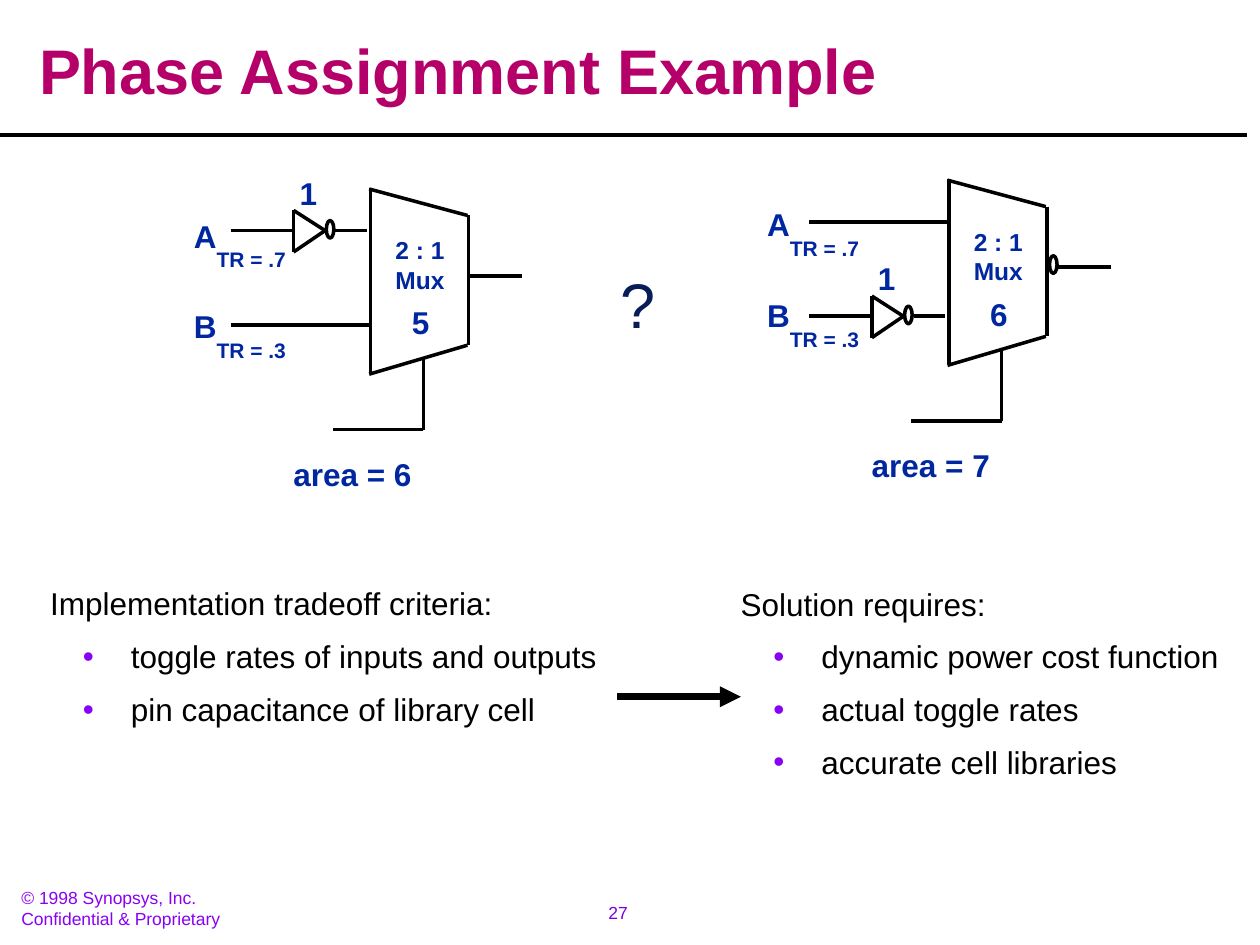
from pptx import Presentation
from pptx.dml.color import RGBColor
from pptx.enum import shapes as shape_types, text
from pptx.oxml.ns import qn
from pptx.util import Inches, Pt
from lxml import etree

BLACK, BLUE, NAVY = "000000", "00279F", "081D58"
MAGENTA, PURPLE, VIOLET = "B50069", "8901F3", "7B00E4"


def color(hex_value):
    return RGBColor.from_string(hex_value)


def style(paragraph, size, hex_value, bold=False):
    font = paragraph.font
    font.name, font.size, font.bold = "Arial", Pt(size), bold
    font.color.rgb = color(hex_value)


def add_text(shapes, content, left, top, width, height, size,
             hex_value=BLUE, bold=True, wrap=False):
    box = shapes.add_textbox(Inches(left), Inches(top), Inches(width), Inches(height))
    frame = box.text_frame
    frame.word_wrap = wrap
    frame.text = content
    for paragraph in frame.paragraphs:
        style(paragraph, size, hex_value, bold)
    return frame


def add_line(shapes, x1, y1, x2, y2, width=2):
    line = shapes.add_connector(shape_types.MSO_CONNECTOR.STRAIGHT,
                                Inches(x1), Inches(y1), Inches(x2), Inches(y2))
    line.line.color.rgb = color(BLACK)
    line.line.width = Pt(width)
    etree.SubElement(line._element.spPr, qn("a:effectLst"))
    return line


def add_bubble(shapes, left, center_y):
    """Draw the small inversion circle of a gate."""
    bubble = shapes.add_shape(shape_types.MSO_SHAPE.OVAL, Inches(left),
                              Inches(center_y - 0.08), Inches(0.06), Inches(0.14))
    bubble.shadow.inherit = False
    bubble.fill.background()
    bubble.line.color.rgb = color(BLACK)
    bubble.line.width = Pt(2)


def add_inverter(shapes, left, y):
    """Draw an input wire that runs through an inverter."""
    back, tip = left + 0.5, left + 0.75
    add_line(shapes, left, y, back, y)
    add_line(shapes, back, y - 0.16, back, y + 0.17)
    add_line(shapes, back, y - 0.16, tip, y)
    add_line(shapes, back, y + 0.17, tip, y)
    add_bubble(shapes, tip + 0.01, y)
    add_line(shapes, tip + 0.08, y, tip + 0.33, y)
    add_text(shapes, "1", left + 0.45, y - 0.5, 0.34, 0.4, 18)


def add_mux(shapes, left, top, cost, inverted_output):
    right = left + 0.78
    add_line(shapes, left, top, left, top + 1.47)
    add_line(shapes, right, top + 0.22, right, top + 1.25)
    add_line(shapes, left - 0.01, top + 0.01, right - 0.01, top + 0.22)
    add_line(shapes, left - 0.01, top + 1.48, right - 0.01, top + 1.25)
    add_text(shapes, "2 : 1\nMux", left + 0.1, top + 0.33, 0.59, 0.57, 14)
    add_text(shapes, cost, left + 0.23, top + 0.87, 0.34, 0.4, 18)
    output = right
    if inverted_output:
        add_bubble(shapes, right + 0.02, top + 0.69)
        output += 0.09
    add_line(shapes, output, top + 0.7, output + 0.42, top + 0.7)


def add_circuit(slide, left, top, inverted_input, cost, area, label_shift=0.0,
                inverted_output=False):
    """Draw a multiplexer, whose corner is at left and top, with its wiring."""
    shapes = slide.shapes.add_group_shape().shapes
    add_mux(shapes, left, top, cost, inverted_output)
    inputs = (("A", "TR = .7", 0.34), ("B", "TR = .3", 1.09))
    for index, (name, rate, wire) in enumerate(inputs):
        y = top + wire
        if name == inverted_input:
            add_inverter(shapes, left - 1.11, y)
        else:
            add_line(shapes, left - 1.11, y, left, y)
        label_top = top + 0.18 + 0.72 * index - label_shift / 2
        label_left = left - 1.5 - label_shift
        add_text(shapes, name, label_left, label_top, 0.38, 0.4, 18)
        add_text(shapes, rate, label_left + 0.18, label_top + 0.24, 0.75, 0.3, 12)
    add_line(shapes, left + 0.42, top + 1.35, left + 0.42, top + 1.92)
    add_line(shapes, left + 0.42, top + 1.92, left - 0.3, top + 1.92)
    add_text(shapes, area, left - 0.71, top + 2.07, 1.14, 0.4, 18)


def add_list(slide, left, top, width, height, heading, items):
    frame = add_text(slide.shapes, "\n".join([heading, *items]), left, top,
                     width, height, 18, BLACK, False, wrap=True)
    for index, paragraph in enumerate(frame.paragraphs):
        paragraph.line_spacing = 1.4
        if index:
            properties = paragraph._p.get_or_add_pPr()
            properties.set("marL", str(Inches(0.64)))
            properties.set("indent", str(Inches(-0.38)))
            bullet_color = etree.Element(qn("a:buClr"))
            etree.SubElement(bullet_color, qn("a:srgbClr"), val=PURPLE)
            bullet_font = etree.Element(qn("a:buFont"), typeface="Arial")
            bullet = etree.Element(qn("a:buChar"), char="•")
            spacing = properties.find(qn("a:lnSpc"))
            spacing.addnext(bullet_color)
            bullet_color.addnext(bullet_font)
            bullet_font.addnext(bullet)


def add_title(slide, left, top, width, height):
    title = slide.shapes.title
    title.left, title.top = Inches(left), Inches(top)
    title.width, title.height = Inches(width), Inches(height)
    frame = title.text_frame
    frame.text = "Phase Assignment Example"
    frame.vertical_anchor = text.MSO_ANCHOR.BOTTOM
    frame.auto_size = text.MSO_AUTO_SIZE.NONE
    paragraph = frame.paragraphs[0]
    paragraph.alignment = text.PP_ALIGN.LEFT
    paragraph.line_spacing = 0.9
    style(paragraph, 36, MAGENTA, True)
    add_line(slide.shapes, 0, 1.07, 9.9, 1.07)


def add_footer(slide, top):
    notice = add_text(slide.shapes, "© 1998 Synopsys, Inc.\nConfidential & Proprietary",
                      0.1, top, 1.9, 0.39, 10, PURPLE, False, wrap=True)
    notice.margin_left = notice.margin_right = Inches(0.07)
    notice.margin_top = notice.margin_bottom = Inches(0.03)
    number = add_text(slide.shapes, "27", 4.49, top + 0.1, 0.83, 0.27, 10, VIOLET, False)
    number.paragraphs[0].alignment = text.PP_ALIGN.CENTER


def main():
    presentation = Presentation()
    presentation.slide_width, presentation.slide_height = Inches(10), Inches(7.5)
    slide = presentation.slides.add_slide(presentation.slide_layouts[5])
    add_title(slide, 0.21, 0.15, 9.71, 0.76)
    add_circuit(slide, 2.94, 1.49, "A", "5", "area = 6")
    add_text(slide.shapes, "?", 4.83, 2.06, 0.48, 0.7, 36, NAVY, False)
    add_circuit(slide, 7.53, 1.42, "B", "6", "area = 7", 0.04, True)
    add_list(slide, 0.3, 4.47, 4.64, 1.36, "Implementation tradeoff criteria:",
             ["toggle rates of inputs and outputs", "pin capacitance of library cell"])
    arrow = add_line(slide.shapes, 4.9, 5.53, 5.88, 5.53, 4)
    etree.SubElement(arrow.line._get_or_add_ln(), qn("a:tailEnd"), type="triangle")
    add_list(slide, 5.78, 4.47, 4.1, 1.78, "Solution requires:",
             ["dynamic power cost function", "actual toggle rates",
              "accurate cell libraries"])
    add_footer(slide, 7.01)
    presentation.save("out.pptx")


if __name__ == "__main__":
    main()
